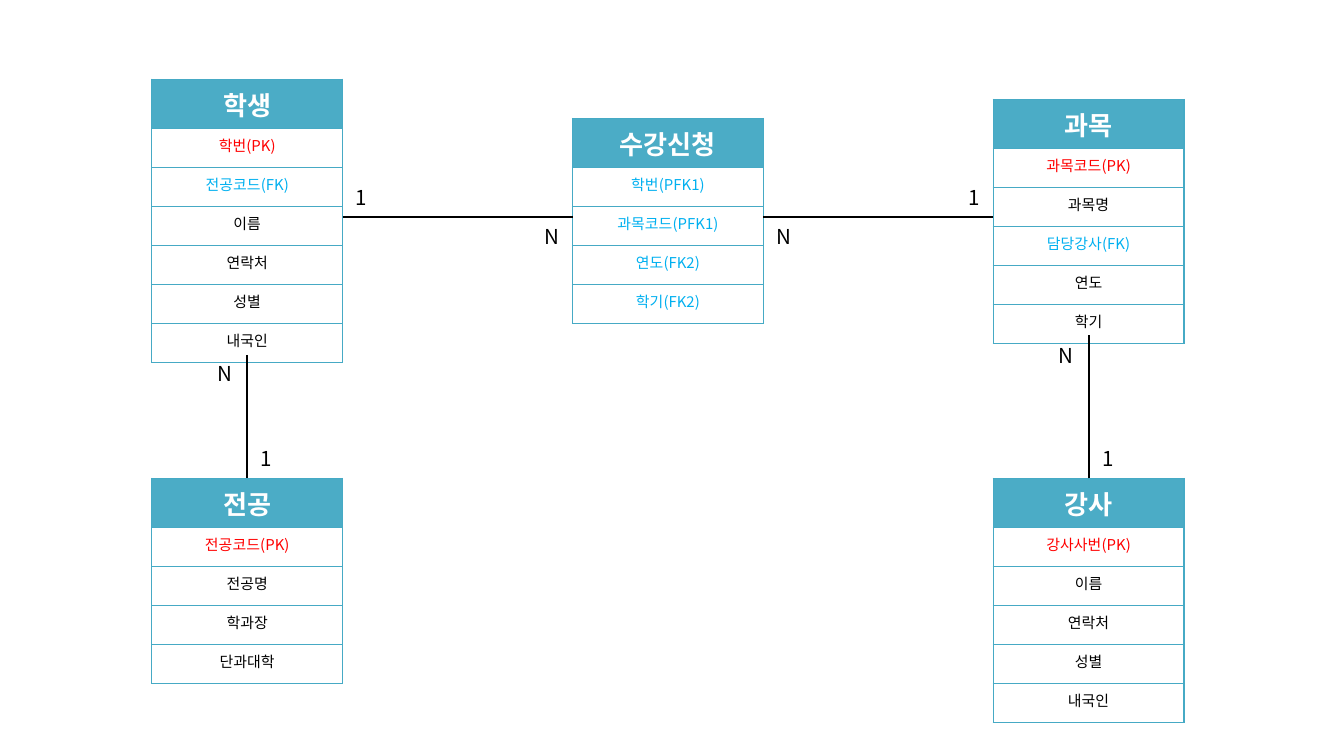
"""Build a course registration entity-relationship diagram."""
from dataclasses import dataclass

from lxml import etree
from pptx import Presentation
from pptx.dml.color import RGBColor
from pptx.enum import shapes, text
from pptx.oxml import ns
from pptx.util import Pt

FONT = "Noto Sans CJK KR"
BORDER, HEADER = "46AAC5", "4BACC6"
BLACK, WHITE, RED, BLUE = "000000", "FFFFFF", "FF0000", "00B0F0"
TABLE_WIDTH, HEADER_HEIGHT, ROW_HEIGHT = 102.24, 21.6, 20.9
LEFT, MIDDLE, RIGHT = 81.36, 306.72, 532.08
LOWER = 256.3


@dataclass
class Entity:
    name: str
    left: float
    top: float
    fields: list[str]


@dataclass
class Relation:
    start: tuple[float, float]
    end: tuple[float, float]


@dataclass
class Cardinality:
    label: str
    left: float
    top: float


ENTITIES = [
    Entity("학생", LEFT, 42.5, ["학번(PK)", "전공코드(FK)", "이름", "연락처", "성별", "내국인"]),
    Entity("전공", LEFT, LOWER, ["전공코드(PK)", "전공명", "학과장", "단과대학"]),
    Entity("과목", RIGHT, 53.3, ["과목코드(PK)", "과목명", "담당강사(FK)", "연도", "학기"]),
    Entity("강사", RIGHT, LOWER, ["강사사번(PK)", "이름", "연락처", "성별", "내국인"]),
    Entity("수강신청", MIDDLE, 63.4, ["학번(PFK1)", "과목코드(PFK1)", "연도(FK2)", "학기(FK2)"]),
]
LEFT_CENTER, RIGHT_CENTER = LEFT + TABLE_WIDTH / 2, RIGHT + TABLE_WIDTH / 2
RELATIONS = [
    Relation((LEFT_CENTER, 190.1), (LEFT_CENTER, LOWER)),
    Relation((MIDDLE + TABLE_WIDTH, 116.3), (RIGHT, 116.3)),
    Relation((LEFT + TABLE_WIDTH, 116.3), (MIDDLE, 116.3)),
    Relation((RIGHT_CENTER, LOWER), (RIGHT_CENTER, 179.6)),
]
CARDINALITIES = [
    Cardinality("N", 560.2, 180),
    Cardinality("1", 583.6, 235.5),
    Cardinality("N", 409, 116.2),
    Cardinality("1", 511.7, 95.5),
    Cardinality("1", 183.2, 95.8),
    Cardinality("N", 284.8, 116.2),
    Cardinality("1", 132.5, 235.5),
    Cardinality("N", 109.4, 189.9),
]


def color(value: str) -> RGBColor:
    """Return the colour for a hex string."""
    return RGBColor.from_string(value)


def write(paragraph, words: str, size: float, fill: str, bold: bool = False) -> None:
    """Fill a paragraph with formatted text."""
    paragraph.text = words
    font = paragraph.font
    font.size, font.bold, font.name = Pt(size), bold, FONT
    font.color.rgb = color(fill)
    for latin in paragraph._p.iter(ns.qn("a:latin")):
        latin.addnext(latin.makeelement(ns.qn("a:ea"), {"typeface": FONT}))


def add_borders(cell) -> None:
    """Outline a table cell on every side."""
    properties = cell._tc.get_or_add_tcPr()
    for side in "LRTB":
        line = etree.SubElement(properties, ns.qn(f"a:ln{side}"), w=str(Pt(0.75)))
        fill = etree.SubElement(line, ns.qn("a:solidFill"))
        etree.SubElement(fill, ns.qn("a:srgbClr"), val=BORDER)


def field_color(field: str) -> str:
    """Choose the text colour from the key type."""
    if "(PK" in field:
        return RED
    return BLUE if "FK" in field else BLACK


def add_entity(slide, entity: Entity) -> None:
    """Draw an entity as a one-column table."""
    count = len(entity.fields) + 1
    height = HEADER_HEIGHT + ROW_HEIGHT * len(entity.fields)
    table = slide.shapes.add_table(
        count, 1, Pt(entity.left), Pt(entity.top), Pt(TABLE_WIDTH), Pt(height)
    ).table
    table.first_row = table.horz_banding = False
    for index, words in enumerate([entity.name, *entity.fields]):
        is_header = index == 0
        table.rows[index].height = Pt(HEADER_HEIGHT if is_header else ROW_HEIGHT)
        cell = table.cell(index, 0)
        cell.margin_left = cell.margin_right = Pt(7.2)
        cell.margin_top = cell.margin_bottom = Pt(2.9)
        add_borders(cell)
        cell.fill.solid()
        cell.fill.fore_color.rgb = color(HEADER if is_header else WHITE)
        paragraph = cell.text_frame.paragraphs[0]
        paragraph.alignment = text.PP_ALIGN.CENTER
        if is_header:
            write(paragraph, words, 14, WHITE, True)
        else:
            write(paragraph, words, 8, field_color(words))


def add_relation(slide, relation: Relation) -> None:
    """Draw a line between two entities."""
    connector = slide.shapes.add_connector(
        shapes.MSO_CONNECTOR.STRAIGHT, *map(Pt, relation.start + relation.end)
    )
    connector.line.color.rgb = color(BLACK)
    connector.line.width = Pt(1)
    etree.SubElement(connector._element.spPr, ns.qn("a:effectLst"))


def add_cardinality(slide, cardinality: Cardinality) -> None:
    """Write a cardinality label beside a line."""
    width = 23 if cardinality.label == "N" else 20.9
    frame = slide.shapes.add_textbox(
        Pt(cardinality.left), Pt(cardinality.top), Pt(width), Pt(20.9)
    ).text_frame
    frame.word_wrap = False
    frame.auto_size = text.MSO_AUTO_SIZE.SHAPE_TO_FIT_TEXT
    write(frame.paragraphs[0], cardinality.label, 11, BLACK)


def main() -> None:
    """Build and save the presentation."""
    presentation = Presentation()
    presentation.slide_width, presentation.slide_height = Pt(720), Pt(405)
    slide = presentation.slides.add_slide(presentation.slide_layouts[6])
    for entity in ENTITIES:
        add_entity(slide, entity)
    for relation in RELATIONS:
        add_relation(slide, relation)
    for cardinality in CARDINALITIES:
        add_cardinality(slide, cardinality)
    presentation.save("out.pptx")


main()
